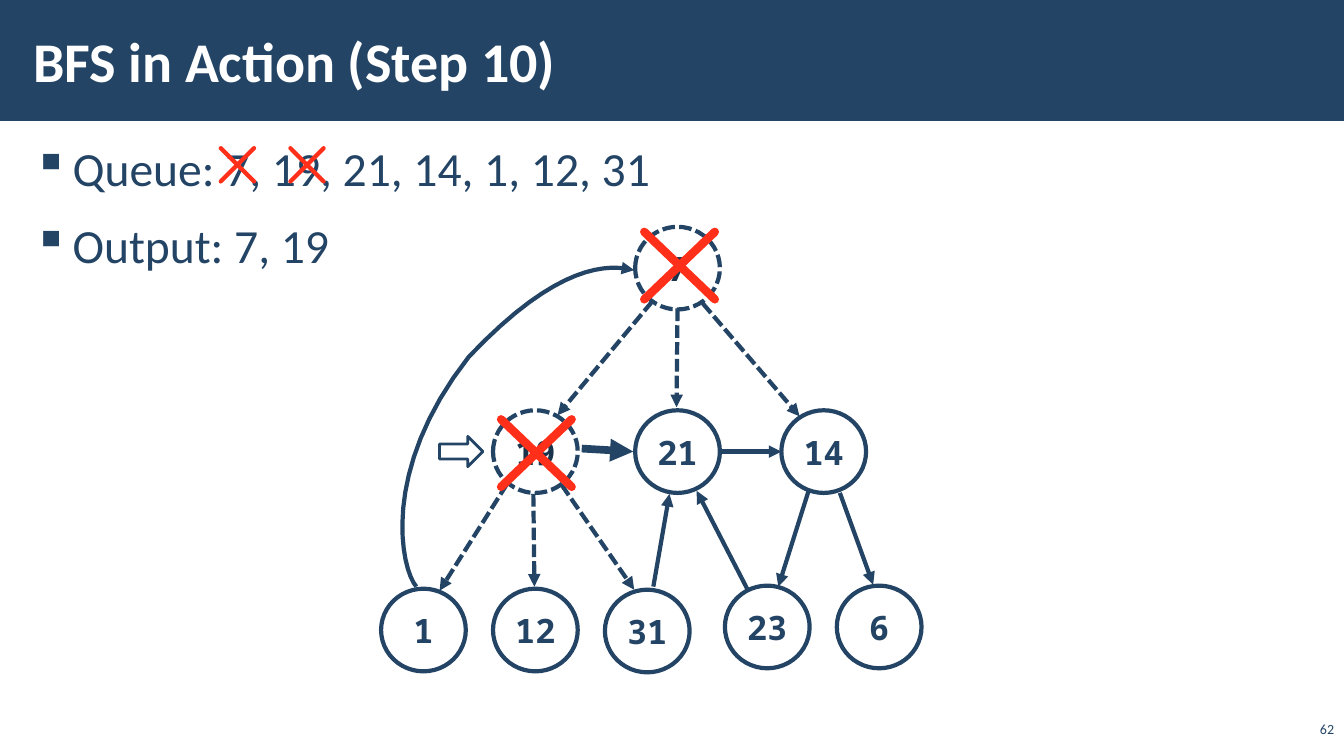
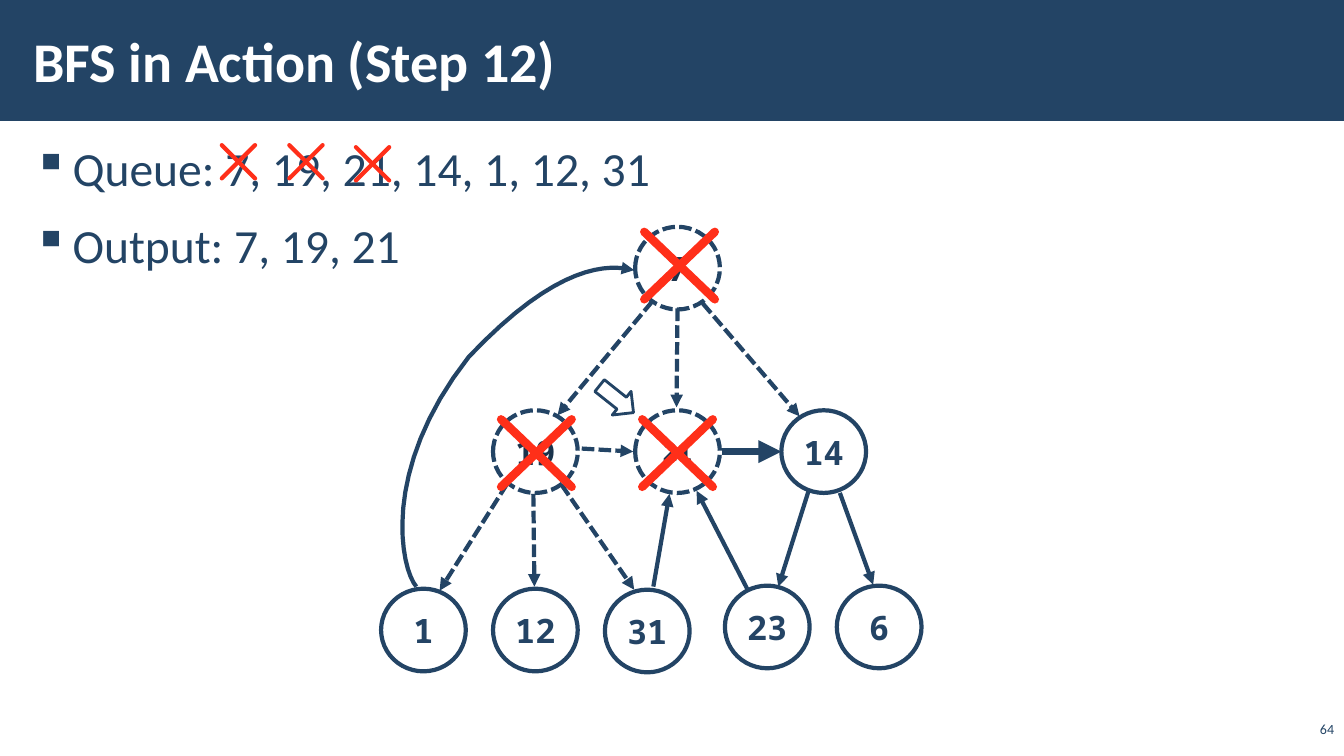
from lxml.etree import SubElement as Sub
from pptx import Presentation
from pptx.dml.color import RGBColor as Rgb
from pptx.enum.dml import MSO_LINE_DASH_STYLE as Dash
from pptx.enum.shapes import MSO_CONNECTOR as Link, MSO_SHAPE as Geo
from pptx.enum.text import MSO_ANCHOR as Anchor, PP_ALIGN as Align
from pptx.oxml.ns import qn
from pptx.util import Pt

PX = 9144
HUES = {"navy": "234465", "ink": "244465", "dark": "1A334C", "red": "FF2F19", "white": "FFFFFF"}
FONTS = {
    "title": {"name": "Calibri", "size": Pt(40), "bold": True},
    "body": {"name": "Calibri", "size": Pt(34)},
    "page": {"name": "Calibri", "size": Pt(10)},
    "node": {"name": "Noto Sans Mono", "size": Pt(24), "bold": True},
}
INSET = {"margin_left": 12 * PX, "margin_right": 12 * PX, "margin_top": 4 * PX, "margin_bottom": 4 * PX}
LIST = {"line_spacing": 1.05, "space_after": Pt(6)}

NODE = (84, 82)
NODES = {
    "7": (252, 0),
    "19": (111, 182), "21": (252, 182), "14": (397, 182),
    "1": (0, 359), "12": (111, 359), "31": (222, 360),
    "23": (341, 356), "6": (452, 356),
}
EDGES = {
    ("7", "19"): (269, 74, 175, 187),
    ("7", "21"): (294, 81, 293, 179),
    ("7", "14"): (319, 76, 415, 188),
    ("19", "1"): (125, 255, 58, 361),
    ("19", "12"): (151, 265, 152, 357),
    ("19", "31"): (179, 256, 251, 360),
    ("19", "21"): (199, 220, 250, 223),
    ("21", "14"): (338, 223, 397, 223),
    ("14", "23"): (424, 262, 394, 357),
    ("14", "6"): (455, 264, 488, 355),
    ("31", "21"): (270, 357, 286, 265),
    ("23", "21"): (363, 359, 313, 262),
}
BENDS = [
    ((35, 357), (20, 340), (-2, 242), (87, 129)),
    ((87, 129), (176, 35), (226, 37), (251, 43)),
]
MARKS = {"7": (9, 5), "19": (8, 9), "21": (7, 9)}

STEPS = [
    {"title": "BFS in Action (Step 10)", "page": "62", "out": "7, 19",
     "done": ["7", "19"], "hot": ("19", "21"), "small": [],
     "struck": [(198, 16), (267, 16)], "hand": (58, 208, 0)},
    {"title": "BFS in Action (Step 12)", "page": "64", "out": "7, 19, 21",
     "done": ["7", "19", "21"], "hot": ("21", "14"), "small": ["21"],
     "struck": [(199, 13), (266, 13), (332, 15)], "hand": (212, 156, 38.5)},
]


def hue(name):
    return Rgb.from_string(HUES[name])


def emu(*nums):
    return [round(n * PX) for n in nums]


def style(item, vals):
    for key, val in vals.items():
        setattr(item, key, val)


def write(par, text, kind, tint, **more):
    run = par.add_run()
    run.text = text
    style(run.font, {**FONTS[kind], **more})
    run.font.color.rgb = hue(tint)


def stroke(item, tint, width, dash=False, head=False, cap="flat"):
    item.line.color.rgb = hue(tint)
    item.line.width = Pt(width)
    if dash:
        item.line.dash_style = Dash.SQUARE_DOT
    ln = item._element.spPr.find(qn("a:ln"))
    ln.set("cap", cap)
    if head:
        Sub(ln, qn("a:tailEnd"), type="triangle")


def line(slide, ends, *args, **more):
    item = slide.shapes.add_connector(Link.STRAIGHT, *emu(*ends))
    stroke(item, *args, **more)
    Sub(item._element.spPr, qn("a:effectLst"))


def shape(slide, geo, box, fill, alpha=100):
    item = slide.shapes.add_shape(geo, *emu(*box))
    item.shadow.inherit = False
    item.fill.solid()
    item.fill.fore_color.rgb = hue(fill)
    if alpha < 100:
        tone = item._element.spPr.find(qn("a:solidFill"))[0]
        Sub(tone, qn("a:alpha"), val=str(alpha * 1000))
    return item


def label(slide, box, **more):
    frame = slide.shapes.add_textbox(*emu(*box)).text_frame
    style(frame, {"word_wrap": True, **more})
    return frame


def cross(slide, box, width):
    x, y, w, h = box
    line(slide, (x, y, x + w, y + h), "red", width, cap="rnd")
    line(slide, (x + w, y, x, y + h), "red", width, cap="rnd")


def header(slide, box, text):
    x, y, w, h = box
    shape(slide, Geo.RECTANGLE, box, "navy").line.fill.background()
    frame = label(slide, (x + 21, y + 11, w - 271, h - 23), vertical_anchor=Anchor.MIDDLE, **INSET)
    write(frame.paragraphs[0], text, "title", "white")


def footer(slide, box, text):
    par = label(slide, box, vertical_anchor=Anchor.BOTTOM).paragraphs[0]
    par.alignment = Align.RIGHT
    write(par, text, "page", "navy")


def body(slide, box, step):
    frame = label(slide, box, **INSET)
    rows = ["Queue: 7, 19, 21, 14, 1, 12, 31", "Output: " + step["out"]]
    for i, text in enumerate(rows):
        par = frame.add_paragraph() if i else frame.paragraphs[0]
        props = par._p.get_or_add_pPr()
        style_in = {"marL": 39 * PX, "indent": -39 * PX}
        for key, val in style_in.items():
            props.set(key, str(val))
        Sub(props, qn("a:buChar"), char="▪")
        style(par, {**LIST, "space_before": Pt(6 if i else 0)})
        write(par, text, "body", "navy")
    for x, y in step["struck"]:
        cross(slide, (box[0] + x, box[1] + y, 33, 33), 3)


def node(slide, box, name, old, small):
    item = shape(slide, Geo.OVAL, box, "white", 70 if old else 50)
    stroke(item, "navy", 3, dash=old)
    frame = item.text_frame
    style(frame, {"word_wrap": False, "vertical_anchor": Anchor.MIDDLE})
    par = frame.paragraphs[0]
    par.alignment = Align.CENTER
    write(par, name, "node", "dark" if old else "ink", size=Pt(18 if small else 24))


def curve(slide, left, top, parts=16):
    dots = []
    for a, b, c, d in BENDS:
        for i in range(parts + 1):
            t = i / parts
            u = 1 - t
            x, y = (u**3 * p + 3 * u * u * t * q + 3 * u * t * t * r + t**3 * s
                    for p, q, r, s in zip(a, b, c, d))
            dots.append(emu(left + x, top + y))
    pen = slide.shapes.build_freeform(*dots[0])
    pen.add_line_segments(dots[1:], close=False)
    item = pen.convert_to_shape()
    item.shadow.inherit = False
    item.fill.background()
    stroke(item, "navy", 3, head=True)


def graph(slide, left, top, step):
    done = step["done"]
    for name, (x, y) in NODES.items():
        node(slide, (left + x, top + y, *NODE), name, name in done, name in step["small"])
    for pair, (x1, y1, x2, y2) in EDGES.items():
        hot = pair == step["hot"]
        line(slide, (left + x1, top + y1, left + x2, top + y2), "navy", 5.5 if hot else 3,
             dash=pair[0] in done and not hot, head=True)
    curve(slide, left, top)
    for name in done:
        x, y = (n + m for n, m in zip(NODES[name], MARKS[name]))
        cross(slide, (left + x, top + y, 70, 67), 6)
    x, y, turn = step["hand"]
    hand = shape(slide, Geo.RIGHT_ARROW, (left + x, top + y, 43, 30), "white", 50)
    hand.rotation = turn
    stroke(hand, "navy", 2)


def main():
    deck = Presentation()
    style(deck, {"slide_width": 1333 * PX, "slide_height": 750 * PX})
    for step in STEPS:
        slide = deck.slides.add_slide(deck.slide_layouts[6])
        header(slide, (0, 0, 1334, 120), step["title"])
        body(slide, (21, 131, 1292, 605), step)
        graph(slide, 378, 225, step)
        footer(slide, (1286, 714, 47, 22), step["page"])
    deck.save("out.pptx")


if __name__ == "__main__":
    main()
